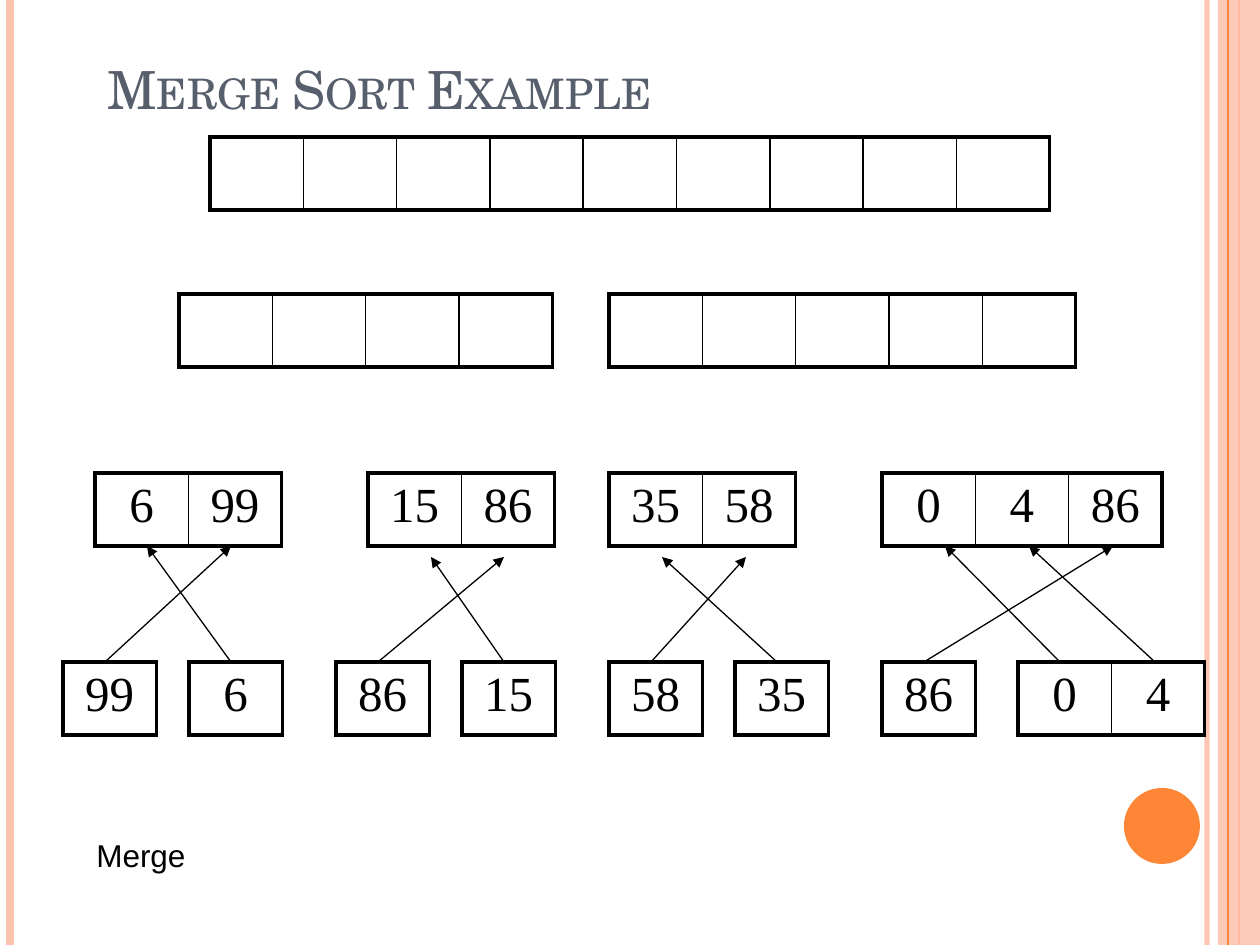
"""Builds a slide that shows the merge step of a merge sort."""
from lxml.etree import SubElement as Sub
from pptx import Presentation
from pptx.dml.color import RGBColor
from pptx.enum.shapes import MSO_CONNECTOR as Conn, MSO_SHAPE as Kind
from pptx.enum.text import MSO_ANCHOR as Anchor, PP_ALIGN as Align
from pptx.oxml.ns import qn
from pptx.util import Emu, Pt

BLACK = RGBColor(0x00, 0x00, 0x00)
SLATE = RGBColor(0x57, 0x5F, 0x6D)
PEACH = RGBColor(0xFE, 0xC3, 0xAE)
ORANGE = RGBColor(0xFE, 0x86, 0x37)
SCALE = 914400 / 126
CELL = round(280 * SCALE / 3)
HIGH = round(73 * SCALE)


def px(*sizes):
    return [Emu(round(size * SCALE)) for size in sizes]


def draw_line(start, end, color, width):
    line = slide.shapes.add_connector(Conn.STRAIGHT, *px(*start, *end))
    line.line.color.rgb = color
    line.line.width = Pt(width)
    Sub(line._element.spPr, qn("a:effectLst"))
    return line


deck = Presentation()
deck.slide_width, deck.slide_height = px(1260, 945)
slide = deck.slides.add_slide(deck.slide_layouts[6])

for x, color, width in [(1207, PEACH, 3), (10, PEACH, 4.5), (1239, ORANGE, 1.5)]:
    edge = draw_line((x, 0), (x, 945), color, width)
    if x == 1207:
        tint = edge.line._ln.find(".//" + qn("a:srgbClr"))
        Sub(tint, qn("a:alpha"), val="93000")

for kind, box, color in [
    (Kind.RECTANGLE, (1218, 0, 42, 945), PEACH),
    (Kind.OVAL, (1124, 788, 76, 76), ORANGE),
]:
    shape = slide.shapes.add_shape(kind, *px(*box))
    shape.shadow.inherit = False
    shape.fill.solid()
    shape.fill.fore_color.rgb = color
    shape.line.fill.background()
    if kind == Kind.RECTANGLE:
        tint = shape._element.spPr.find(".//" + qn("a:srgbClr"))
        Sub(tint, qn("a:alpha"), val="87000")
        draw_line((1228, 0), (1228, 945), ORANGE, 0.75)

TITLE = {"name": "TeX Gyre Schola", "size": Pt(30)}
LABEL = {"name": "Arial", "size": Pt(18)}
DIGIT = {"name": "Times New Roman", "size": Pt(28)}

for words, box, anchor, style, color in [
    ("Merge Sort Example", (95, 0, 1071, 126), Anchor.BOTTOM, TITLE, SLATE),
    ("Merge", (84, 830, 640, 63), Anchor.TOP, LABEL, BLACK),
]:
    frame = slide.shapes.add_textbox(*px(*box)).text_frame
    frame.word_wrap = True
    frame.vertical_anchor = anchor
    run = frame.paragraphs[0].add_run()
    run.text = words
    for key, value in style.items():
        setattr(run.font, key, value)
    run.font.color.rgb = color
    if style is TITLE:
        run._r.get_or_add_rPr().set("cap", "small")

ROWS = {
    137: [(210, [""] * 9)],
    294: [(179, [""] * 4), (609, [""] * 5)],
    473: [
        (95, ["6", "99"]), (368, ["15", "86"]),
        (609, ["35", "58"]), (882, ["0", "4", "86"]),
    ],
    662: [
        (63, ["99"]), (189, ["6"]), (336, ["86"]), (462, ["15"]),
        (609, ["58"]), (735, ["35"]), (882, ["86"]), (1018, ["0", "4"]),
    ],
}

for top, lists in ROWS.items():
    for left, items in lists:
        count = len(items)
        grid = slide.shapes.add_table(1, count, *px(left, top), CELL * count, HIGH).table
        grid.first_row = False
        grid.horz_banding = False
        for col, item in enumerate(items):
            grid.columns[col].width = Emu(CELL)
            cell = grid.cell(0, col)
            props = cell._tc.get_or_add_tcPr()
            outer = {"L": col == 0, "R": col == count - 1, "T": True, "B": True}
            for side, thick in outer.items():
                rule = Sub(props, qn("a:ln" + side), w=str(Pt(2.25 if thick else 1)))
                Sub(Sub(rule, qn("a:solidFill")), qn("a:srgbClr"), val=str(BLACK))
            cell.fill.background()
            para = cell.text_frame.paragraphs[0]
            para.alignment = Align.CENTER
            if item:
                run = para.add_run()
                run.text = item
                for key, value in DIGIT.items():
                    setattr(run.font, key, value)
                run.font.color.rgb = BLACK

ARROWS = [
    (1155, 1029, 546), (924, 1113, 546), (1060, 945, 546),
    (777, 662, 557), (651, 746, 557), (504, 431, 557),
    (378, 504, 557), (231, 147, 546), (105, 231, 546),
]

for start, end, tip in ARROWS:
    arrow = draw_line((start, 662), (end, tip), BLACK, 0.75)
    Sub(arrow.line._ln, qn("a:tailEnd"), type="triangle")

deck.save("out.pptx")
